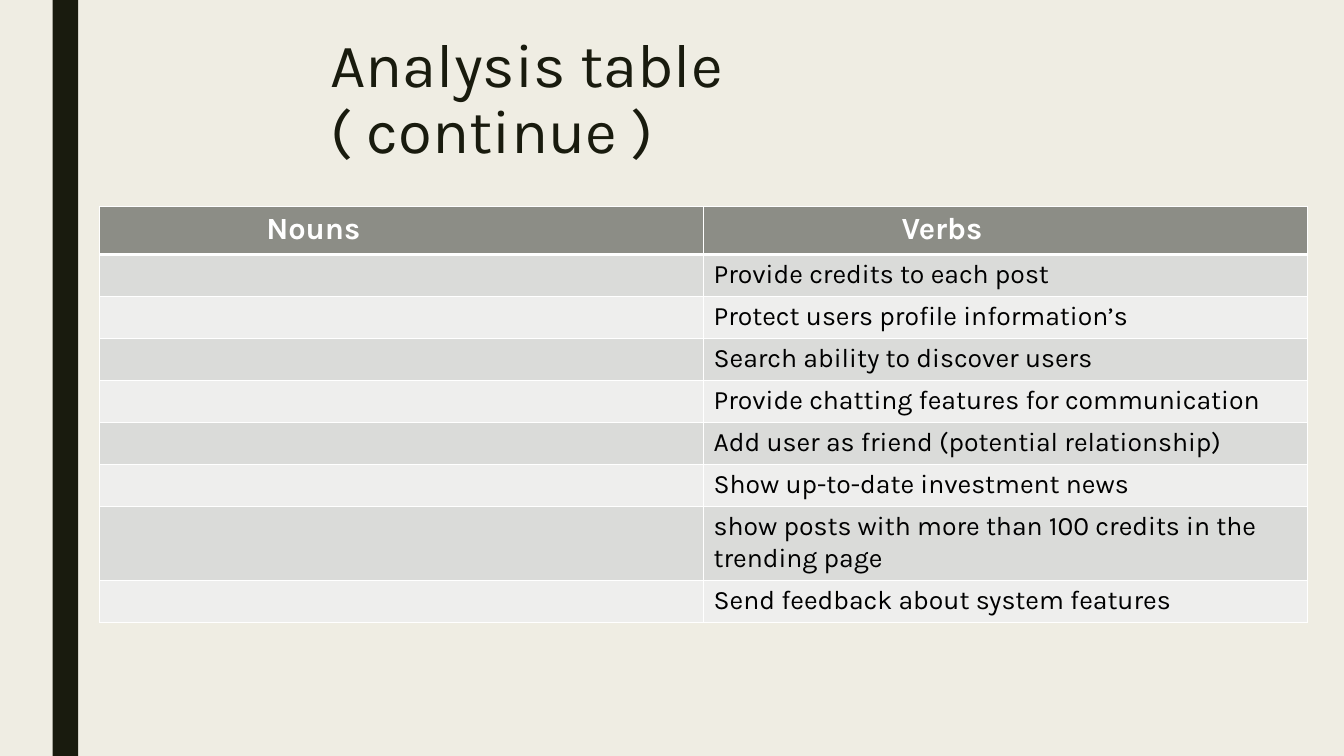
from lxml.etree import SubElement
from pptx import Presentation
from pptx.dml.color import RGBColor
from pptx.enum.shapes import MSO_SHAPE
from pptx.enum.text import MSO_ANCHOR
from pptx.oxml.ns import qn
from pptx.util import Cm, Pt


def paint(color, code):
    color.rgb = RGBColor.from_string(code)


def style(para, size, code, bold=False):
    font = para.font
    font.name, font.size, font.bold = "Karla", Pt(size), bold
    paint(font.color, code)


deck = Presentation()
deck.slide_width, deck.slide_height = Cm(33.87), Cm(19.05)
slide = deck.slides.add_slide(deck.slide_layouts[6])
back = slide.background.fill
back.solid()
paint(back.fore_color, "EFEDE3")

bar = slide.shapes.add_shape(MSO_SHAPE.RECTANGLE, Cm(1.33), 0, Cm(0.64), Cm(19.05))
bar.shadow.inherit = False
bar.fill.solid()
paint(bar.fill.fore_color, "191B0E")
bar.line.fill.background()

title = slide.shapes.add_textbox(Cm(8.08), Cm(0.76), Cm(17.7), Cm(2.06)).text_frame
title.word_wrap = True
title.vertical_anchor = MSO_ANCHOR.TOP
title.text = "Analysis table ( continue )"
para = title.paragraphs[0]
para.line_spacing = 0.89
style(para, 44, "191B0E")

verbs = [
    "Provide credits to each post",
    "Protect users profile information’s",
    "Search ability to discover users",
    "Provide chatting features for communication",
    "Add user as friend (potential relationship)",
    "Show up-to-date investment news",
    "show posts with more than 100 credits in the trending page",
    "Send feedback about system features",
]
rows = [("Nouns", "Verbs")] + [("", verb) for verb in verbs]
table = slide.shapes.add_table(
    len(rows), 2, Cm(2.5), Cm(5.2), Cm(30.46), Cm(10.49)).table
for col in table.columns:
    col.width = Cm(15.23)

for i, row in enumerate(rows):
    table.rows[i].height = Cm(1.05 if i else 1.21)
    for j, text in enumerate(row):
        cell = table.cell(i, j)
        cell.text = text
        para = cell.text_frame.paragraphs[0]
        if i:
            style(para, 19, "000000")
        else:
            style(para, 22, "FFFFFF", True)
            cell.margin_left = Cm((4.21, 4.99)[j])
        props = cell._tc.get_or_add_tcPr()
        for side in "LRTB":
            thick = (i, side) in [(0, "B"), (1, "T")]
            edge = SubElement(props, qn("a:ln" + side), w=str(Pt(3 if thick else 1)))
            fill = SubElement(edge, qn("a:solidFill"))
            SubElement(fill, qn("a:srgbClr"), val="FFFFFF")
        cell.fill.solid()
        tint = ("DADBD9" if i % 2 else "EEEEED") if i else "8C8D86"
        paint(cell.fill.fore_color, tint)

deck.save("out.pptx")
